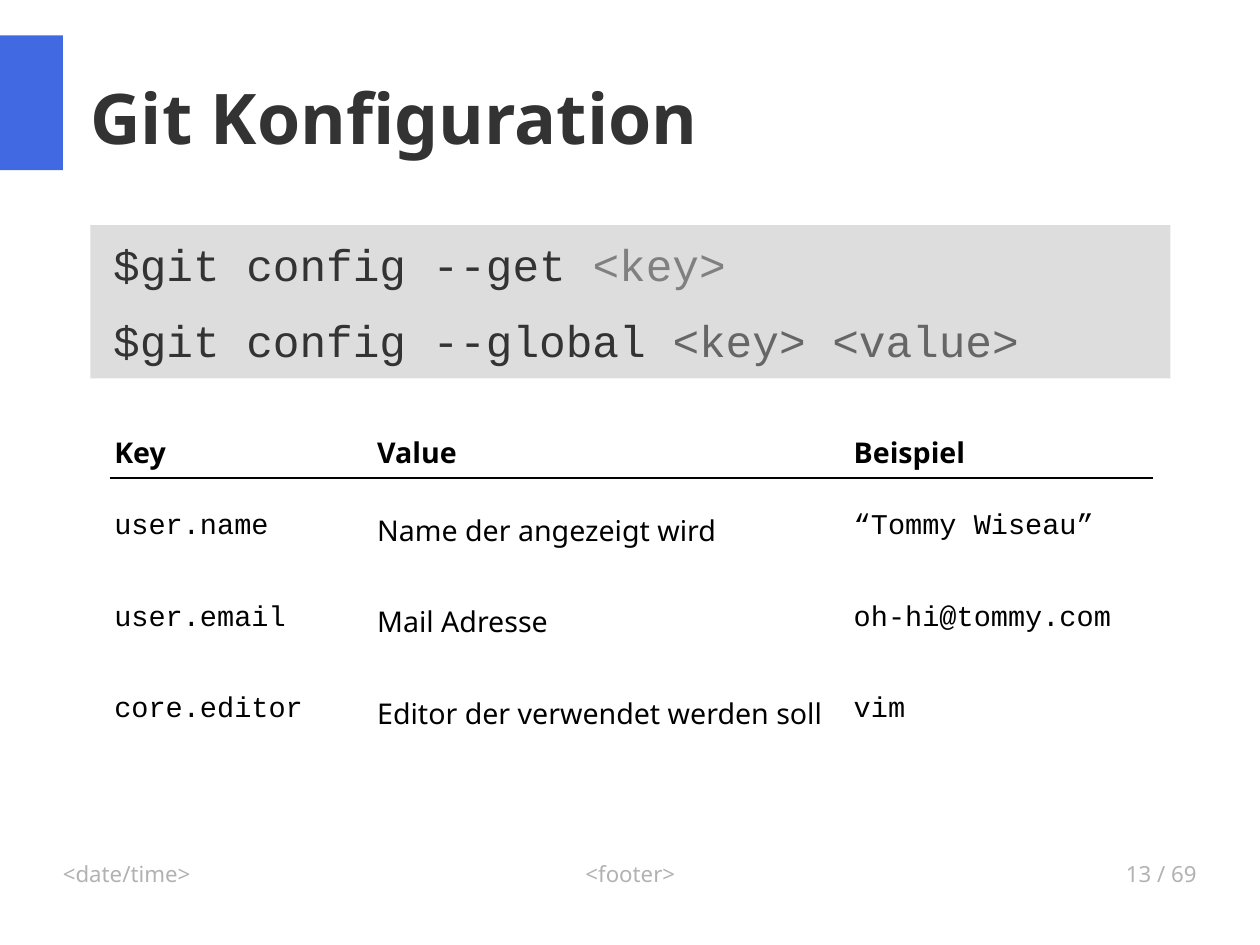
from dataclasses import dataclass

from lxml.etree import SubElement
from pptx import Presentation
from pptx.dml.color import RGBColor
from pptx.enum.shapes import MSO_SHAPE
from pptx.enum.text import MSO_ANCHOR, PP_ALIGN
from pptx.oxml import parse_xml
from pptx.oxml.ns import nsdecls, qn
from pptx.util import Inches, Pt


@dataclass(frozen=True)
class Theme:
    sans: str = "Noto Sans"
    mono: str = "Courier New"
    accent: str = "4169E1"
    dark: str = "333333"
    black: str = "000000"
    panel: str = "DDDDDD"
    faint: str = "B2B2B2"
    gray: str = "808080"
    dim: str = "666666"
    title: int = 44
    code: int = 28
    cell: int = 18
    foot: int = 14
    gap: int = 4


THEME = Theme()
WIDTH, HEIGHT = 28 / 2.54, 21 / 2.54
COMMANDS = [
    ("$git config --get ", "<key>", THEME.gray),
    ("$git config --global ", "<key> <value>", THEME.dim),
]
HEADS = ["Key", "Value", "Beispiel"]
KEYS = [
    ("user.name", "Name der angezeigt wird", "“Tommy Wiseau”"),
    ("user.email", "Mail Adresse", "oh-hi@tommy.com"),
    ("core.editor", "Editor der verwendet werden soll", "vim"),
]
COLS = [2.3, 4.17, 2.66]
ROWS = [0.73, 0.24, 0.8, 0.8, 0.8]
PLAIN = "{2D5ABB26-0587-4C30-8999-92F81FD0307C}"


def inches(box):
    return [Inches(v) for v in box]


def style(font, face, size, color, bold=False):
    font.name, font.size, font.bold = face, Pt(size), bold
    font.color.rgb = RGBColor.from_string(color)


def inset(item, side, end):
    item.margin_left = item.margin_right = Inches(side)
    item.margin_top = item.margin_bottom = Inches(end)


def add_rect(slide, box, color):
    rect = slide.shapes.add_shape(MSO_SHAPE.RECTANGLE, *inches(box))
    rect.shadow.inherit = False
    rect.fill.solid()
    rect.fill.fore_color.rgb = RGBColor.from_string(color)
    rect.line.fill.background()
    return rect


def add_label(slide, box, text, size, color, bold=False,
              align=PP_ALIGN.LEFT, anchor=MSO_ANCHOR.TOP):
    frame = slide.shapes.add_textbox(*inches(box)).text_frame
    frame.word_wrap = True
    frame.vertical_anchor = anchor
    inset(frame, 0, 0)
    para = frame.paragraphs[0]
    para.text, para.alignment = text, align
    style(para.font, THEME.sans, size, color, bold)


def add_header(slide, box):
    left, top, width, height = box
    add_rect(slide, (0, top - 0.02, 0.55, 1.18), THEME.accent)
    add_label(slide, (left, top, width, height), "Git Konfiguration",
              THEME.title, THEME.dark, True, anchor=MSO_ANCHOR.MIDDLE)


def add_code(slide, box):
    frame = add_rect(slide, box, THEME.panel).text_frame
    frame.word_wrap = True
    frame.vertical_anchor = MSO_ANCHOR.MIDDLE
    inset(frame, 0.2, 0)
    for i, (command, args, color) in enumerate(COMMANDS):
        para = frame.add_paragraph() if i else frame.paragraphs[0]
        para.alignment = PP_ALIGN.LEFT
        para.space_after = Pt(14.1)
        for text, tint in ((command, THEME.dark), (args, color)):
            run = para.add_run()
            run.text = text
            style(run.font, THEME.mono, THEME.code, tint)


def underline(cell):
    cell.fill.background()
    line = parse_xml(
        f'<a:lnB {nsdecls("a")} w="{Pt(1.7)}"><a:solidFill>'
        f'<a:srgbClr val="{THEME.black}"/></a:solidFill></a:lnB>')
    cell._tc.get_or_add_tcPr().insert(0, line)


def fill_cell(cell, text, face, bold=False):
    inset(cell, 0.04, 0.05)
    cell.fill.background()
    para = cell.text_frame.paragraphs[0]
    para.text = text
    style(para.font, face, THEME.cell, THEME.black, bold)


def add_keys(slide, box):
    """Key table: heads, a thin spacer row, then one row per key."""
    frame = slide.shapes.add_table(len(ROWS), len(COLS), *inches(box))
    table = frame.table
    table.first_row = table.horz_banding = False
    table._tbl.tblPr.find(qn("a:tableStyleId")).text = PLAIN
    for col, width in zip(table.columns, COLS):
        col.width = Inches(width)
    for row, height in zip(table.rows, ROWS):
        row.height = Inches(height)
    for c, head in enumerate(HEADS):
        cell = table.cell(0, c)
        fill_cell(cell, head, THEME.sans, True)
        cell.vertical_anchor = MSO_ANCHOR.BOTTOM
        underline(cell)
        spacer = table.cell(1, c)
        spacer.fill.background()
        inset(spacer, 0, 0)
        para = spacer.text_frame.paragraphs[0]
        SubElement(para._p, qn("a:endParaRPr"), sz=str(THEME.gap * 100))
    for r, entry in enumerate(KEYS, 2):
        for c, text in enumerate(entry):
            face = THEME.sans if c == 1 else THEME.mono
            fill_cell(table.cell(r, c), text, face)


def add_footer(slide, box):
    left, top, width, height = box
    side, mid = 2.57, 3.49
    parts = [
        (left, side, "<date/time>", PP_ALIGN.LEFT),
        (left + 3.22, mid, "<footer>", PP_ALIGN.CENTER),
        (left + width - side, side, "13 / 69", PP_ALIGN.RIGHT),
    ]
    for x, wide, text, align in parts:
        add_label(slide, (x, top, wide, height), text,
                  THEME.foot, THEME.faint, align=align)


def main():
    deck = Presentation()
    deck.slide_width, deck.slide_height = inches((WIDTH, HEIGHT))
    slide = deck.slides.add_slide(deck.slide_layouts[6])
    add_header(slide, (0.79, 0.33, 9.68, 1.38))
    add_code(slide, (0.79, 1.97, 9.45, 1.34))
    add_keys(slide, (0.96, 3.45, sum(COLS), sum(ROWS)))
    add_footer(slide, (0.55, 7.53, 9.92, 0.57))
    deck.save("out.pptx")


if __name__ == "__main__":
    main()
